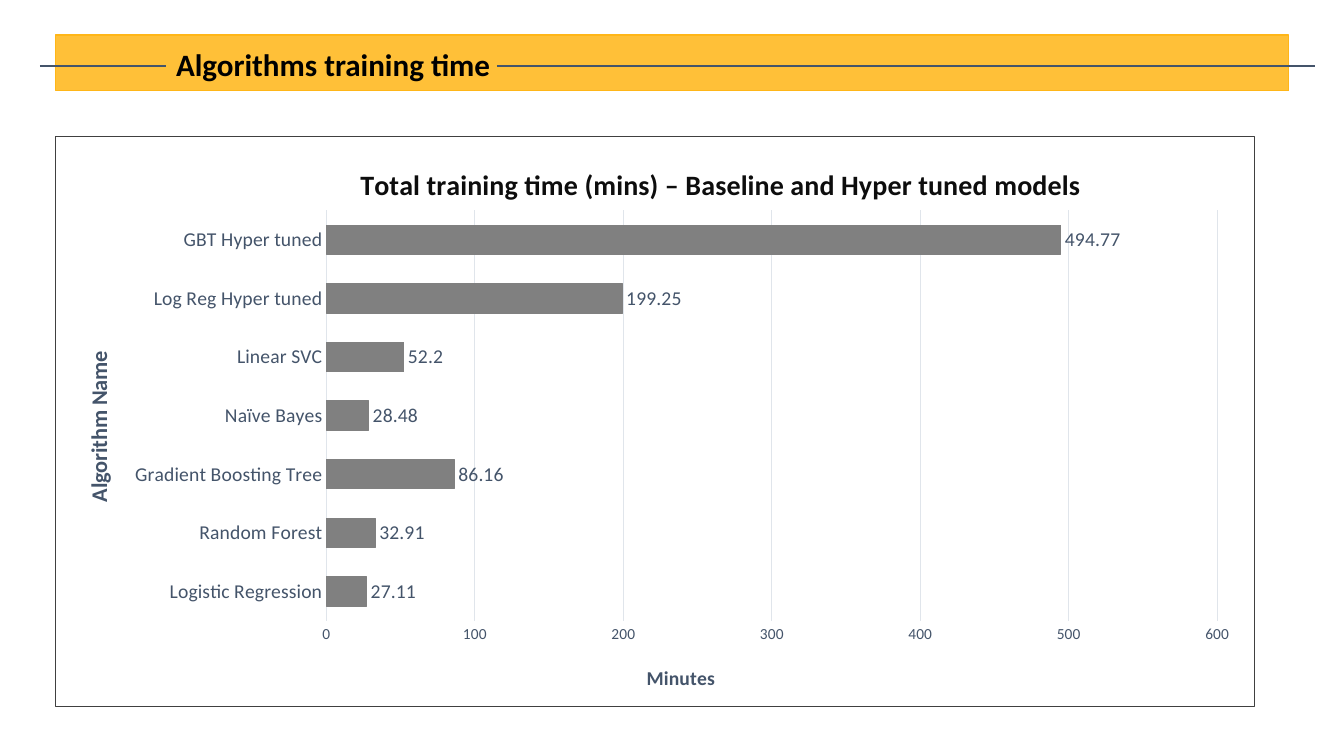
from lxml import etree
from pptx import Presentation
from pptx.chart.data import CategoryChartData as Data
from pptx.dml.color import RGBColor as RGB
from pptx.enum.chart import XL_CHART_TYPE as Kind, XL_LABEL_POSITION as Spot, XL_TICK_MARK as Tick
from pptx.enum.shapes import MSO_CONNECTOR as Link, MSO_SHAPE as Shape
from pptx.enum.text import MSO_ANCHOR as Anchor, MSO_AUTO_SIZE as Fit, PP_ALIGN as Align
from pptx.oxml import parse_xml
from pptx.oxml.ns import nsdecls, qn
from pptx.util import Emu, Pt

TIMES = {
    "Logistic Regression": 27.11,
    "Random Forest": 32.91,
    "Gradient Boosting Tree": 86.16,
    "Naïve Bayes": 28.48,
    "Linear SVC": 52.2,
    "Log Reg Hyper tuned": 199.25,
    "GBT Hyper tuned": 494.77,
}


def color(text):
    return RGB.from_string(text)


def px(*sizes):
    return [Emu(round(size * 914400 / 100.8)) for size in sizes]


class Deck:
    face = "Calibri"
    ink = "44546A"
    gold = "FFB618"
    bar = "808080"
    grid = "E0E5EB"

    def __init__(self):
        self.file = Presentation()
        self.file.slide_width, self.file.slide_height = px(1344, 756)
        self.slide = self.file.slides.add_slide(self.file.slide_layouts[5])
        self.shapes = self.slide.shapes

    def font(self, font, size, shade, bold=False):
        font.name, font.size, font.bold = self.face, Pt(size), bold
        font.color.rgb = color(shade)

    def stroke(self, line, shade, width=0.75):
        line.color.rgb = color(shade)
        line.width = Pt(width)

    def band(self, *box):
        band = self.shapes.add_shape(Shape.RECTANGLE, *px(*box))
        band.shadow.inherit = False
        band.fill.solid()
        band.fill.fore_color.rgb = color(self.gold)
        shade = band._element.spPr.find(qn("a:solidFill"))[0]
        etree.SubElement(shade, qn("a:alpha"), val="86000")
        self.stroke(band.line, self.gold)

    def title(self, text, *box):
        title = self.shapes.title
        title.left, title.top, title.width, title.height = px(*box)
        frame = title.text_frame
        frame.text = text
        frame.auto_size = Fit.NONE
        frame.word_wrap = True
        frame.vertical_anchor = Anchor.MIDDLE
        pad, = px(10)
        frame.margin_left = frame.margin_right = pad
        frame.margin_top = frame.margin_bottom = pad
        para = frame.paragraphs[0]
        para.alignment = Align.LEFT
        para.line_spacing = 0.9
        self.font(para.runs[0].font, 22.2, "000000", True)
        self.shapes._spTree.append(title._element)

    def rule(self, left, right, top):
        rule = self.shapes.add_connector(Link.STRAIGHT, *px(left, top, right, top))
        self.stroke(rule.line, self.ink, 1.5)
        etree.SubElement(rule._element.spPr, qn("a:effectLst"))

    def place(self, node, index, target="", **spots):
        for old in node.findall(qn("c:layout")):
            node.remove(old)
        layout = etree.Element(qn("c:layout"))
        manual = etree.SubElement(layout, qn("c:manualLayout"))
        if target:
            etree.SubElement(manual, qn("c:layoutTarget"), val=target)
        for name in "xy":
            etree.SubElement(manual, qn(f"c:{name}Mode"), val="edge")
        for name, spot in spots.items():
            etree.SubElement(manual, qn(f"c:{name}"), val=str(spot))
        node.insert(index, layout)

    def label(self, title, text, size, shade, x, y):
        title.text_frame.text = text
        self.font(title.text_frame.paragraphs[0].runs[0].font, size, shade, True)
        self.place(title._element, 1, x=x, y=y)

    def axis(self, axis, text, size, tick, x, y):
        self.label(axis.axis_title, text, size, self.ink, x, y)
        self.font(axis.tick_labels.font, tick, self.ink)
        axis.major_tick_mark = axis.minor_tick_mark = Tick.NONE

    def frame(self, chart, shade):
        chart._chartSpace.find(qn("c:txPr")).addprevious(parse_xml(
            f'<c:spPr {nsdecls("c", "a")}><a:noFill/><a:ln w="9525"><a:solidFill>'
            f'<a:srgbClr val="{shade}"/></a:solidFill></a:ln></c:spPr>'))

    def chart(self, name, times, *box):
        data = Data()
        data.categories = list(times)
        data.add_series("Series 1", list(times.values()))
        chart = self.shapes.add_chart(Kind.BAR_CLUSTERED, *px(*box), data).chart
        self.font(chart.font, 10, "000000")
        self.frame(chart, "404040")
        chart.has_legend = False
        self.label(chart.chart_title, name, 20, "0D0D0D", 0.25, 0.04)
        self.place(chart._chartSpace.chart.plotArea, 0, "inner", x=0.226, y=0.13, w=0.743, h=0.72)

        names, mins = chart.category_axis, chart.value_axis
        self.axis(names, "Algorithm Name", 16, 14, 0.02, 0.37)
        self.axis(mins, "Minutes", 14, 11, 0.49, 0.92)
        self.stroke(names.format.line, self.grid)
        mins.format.line.fill.background()
        self.stroke(mins.major_gridlines.format.line, self.grid)
        mins.minimum_scale, mins.maximum_scale, mins.major_unit = 0, 600, 100

        plot = chart.plots[0]
        plot.gap_width = 100
        plot.vary_by_categories = False
        bars = plot.series[0]
        bars.format.fill.solid()
        bars.format.fill.fore_color.rgb = color(self.bar)
        self.stroke(bars.format.line, self.bar)
        tags = bars.data_labels
        tags.show_value = True
        tags.position = Spot.OUTSIDE_END
        self.font(tags.font, 14, self.ink)


def main():
    deck = Deck()
    deck.chart("Total training time (mins) – Baseline and Hyper tuned models", TIMES, 55, 136, 1200, 571)
    deck.band(56, 35, 1233, 56)
    deck.title("Algorithms training time", 166, 38, 541, 56)
    for left, right in ((40, 166), (497, 1315)):
        deck.rule(left, right, 66)
    deck.file.save("out.pptx")


if __name__ == "__main__":
    main()
